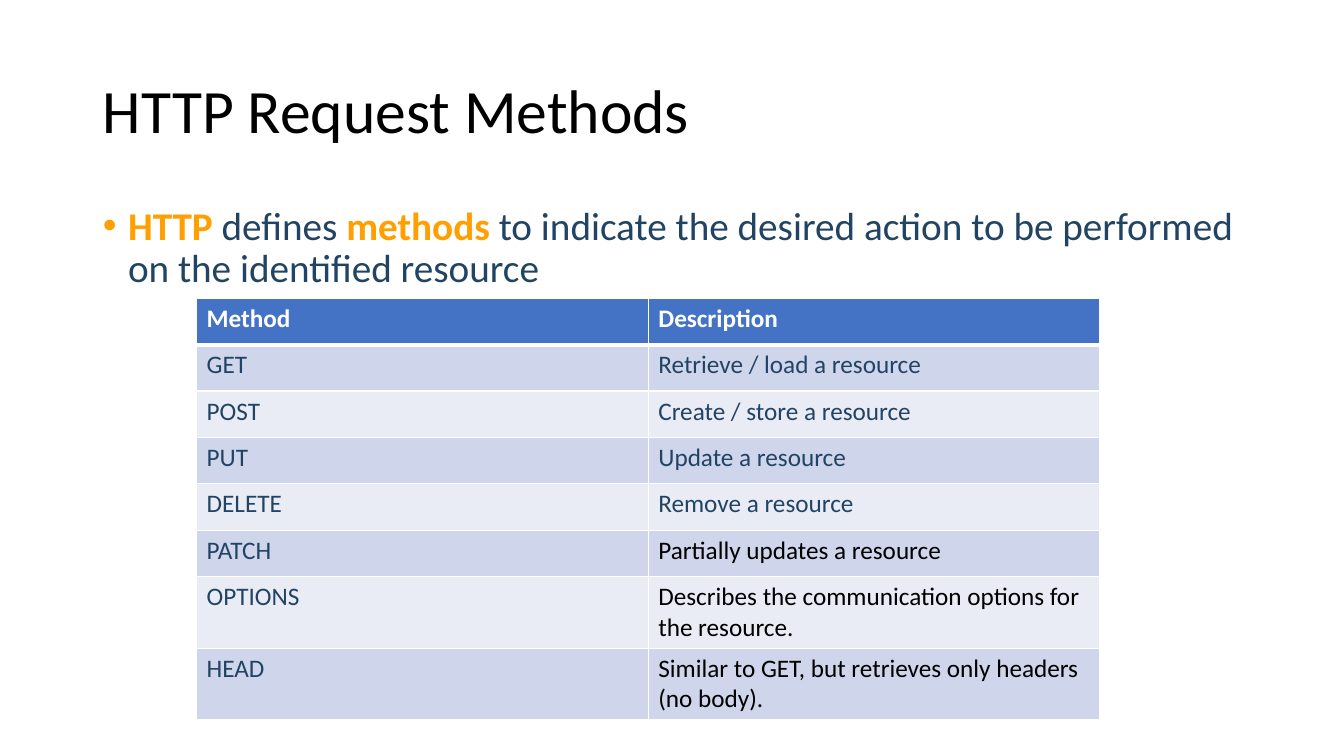
from lxml import etree
from pptx import Presentation
from pptx.dml.color import RGBColor
from pptx.enum.text import MSO_ANCHOR, MSO_AUTO_SIZE, PP_ALIGN
from pptx.oxml.ns import qn
from pptx.util import Inches, Pt

LEFT = PP_ALIGN.LEFT
TOP, MIDDLE = MSO_ANCHOR.TOP, MSO_ANCHOR.MIDDLE
NO_FIT = MSO_AUTO_SIZE.NONE

FONT = "Calibri"
BLACK, WHITE = "000000", "FFFFFF"
NAVY, ORANGE, BLUE = "224464", "FF9F00", "4472C4"
BANDS = ("CFD5EA", "E9EBF5")

INTRO = [
    ("HTTP ", True),
    ("defines ", False),
    ("methods ", True),
    ("to indicate the desired action to be performed on the identified resource", False),
]

# Method, description, colour of the description
METHODS = [
    ("GET", "Retrieve / load a resource", NAVY),
    ("POST", "Create / store a resource", NAVY),
    ("PUT", "Update a resource", NAVY),
    ("DELETE", "Remove a resource", NAVY),
    ("PATCH", "Partially updates a resource", BLACK),
    ("OPTIONS", "Describes the communication options for the resource.", BLACK),
    ("HEAD", "Similar to GET, but retrieves only headers (no body).", BLACK),
]


def rgb(code):
    return RGBColor.from_string(code)


def style(run, size, color, bold=False):
    font = run.font
    font.name, font.size, font.bold = FONT, Pt(size), bold
    font.color.rgb = rgb(color)


def place(holder, box, anchor):
    """Move a placeholder and return its first paragraph."""
    holder.left, holder.top, holder.width, holder.height = map(Inches, box)
    frame = holder.text_frame
    frame.word_wrap, frame.auto_size = True, NO_FIT
    frame.vertical_anchor = anchor
    para = frame.paragraphs[0]
    para.alignment = LEFT
    para.line_spacing = 0.9
    para.space_before = Pt(0)
    return para


def add_bullet(para, indent):
    props = para._p.get_or_add_pPr()
    props.set("marL", str(Inches(indent)))
    props.set("indent", str(Inches(-indent)))
    etree.SubElement(props, qn("a:buFont"), typeface="Arial")
    etree.SubElement(props, qn("a:buChar"), char="•")


def add_border(cell, side, width):
    props = cell._tc.get_or_add_tcPr()
    line = etree.SubElement(props, qn("a:ln" + side), w=str(Pt(width)))
    fill = etree.SubElement(line, qn("a:solidFill"))
    etree.SubElement(fill, qn("a:srgbClr"), val=WHITE)


def fill_cell(cell, text, color, back, bold=False, top=1, bottom=1):
    cell.text = text
    style(cell.text_frame.paragraphs[0].runs[0], 18, color, bold)
    for side, width in (("L", 1), ("R", 1), ("T", top), ("B", bottom)):
        add_border(cell, side, width)
    cell.fill.solid()
    cell.fill.fore_color.rgb = rgb(back)


def add_methods(slide):
    count = len(METHODS) + 1
    height = 0.46
    frame = slide.shapes.add_table(
        count, 2, Inches(1.95), Inches(2.96), Inches(8.96), Inches(height * count))
    table = frame.table
    for row in table.rows:
        row.height = Inches(height)

    # Header row
    for col, text in enumerate(("Method", "Description")):
        fill_cell(table.cell(0, col), text, WHITE, BLUE, bold=True, bottom=3)

    # Banded rows
    for row, (method, about, color) in enumerate(METHODS, 1):
        back = BANDS[(row - 1) % 2]
        top = 3 if row == 1 else 1
        fill_cell(table.cell(row, 0), method, NAVY, back, top=top)
        fill_cell(table.cell(row, 1), about, color, back, top=top)


def main():
    deck = Presentation()
    deck.slide_width, deck.slide_height = Inches(13.33), Inches(7.5)
    slide = deck.slides.add_slide(deck.slide_layouts[1])
    title, body = slide.placeholders

    # Title
    para = place(title, (0.92, 0.4, 11.5, 1.45), MIDDLE)
    para.text = "HTTP Request Methods"
    style(para.runs[0], 44, BLACK)

    # Introduction
    para = place(body, (0.92, 2, 11.5, 4.76), TOP)
    add_bullet(para, 0.25)
    for text, strong in INTRO:
        run = para.add_run()
        run.text = text
        style(run, 28, ORANGE if strong else NAVY, strong)

    add_methods(slide)
    deck.save("out.pptx")


if __name__ == "__main__":
    main()
